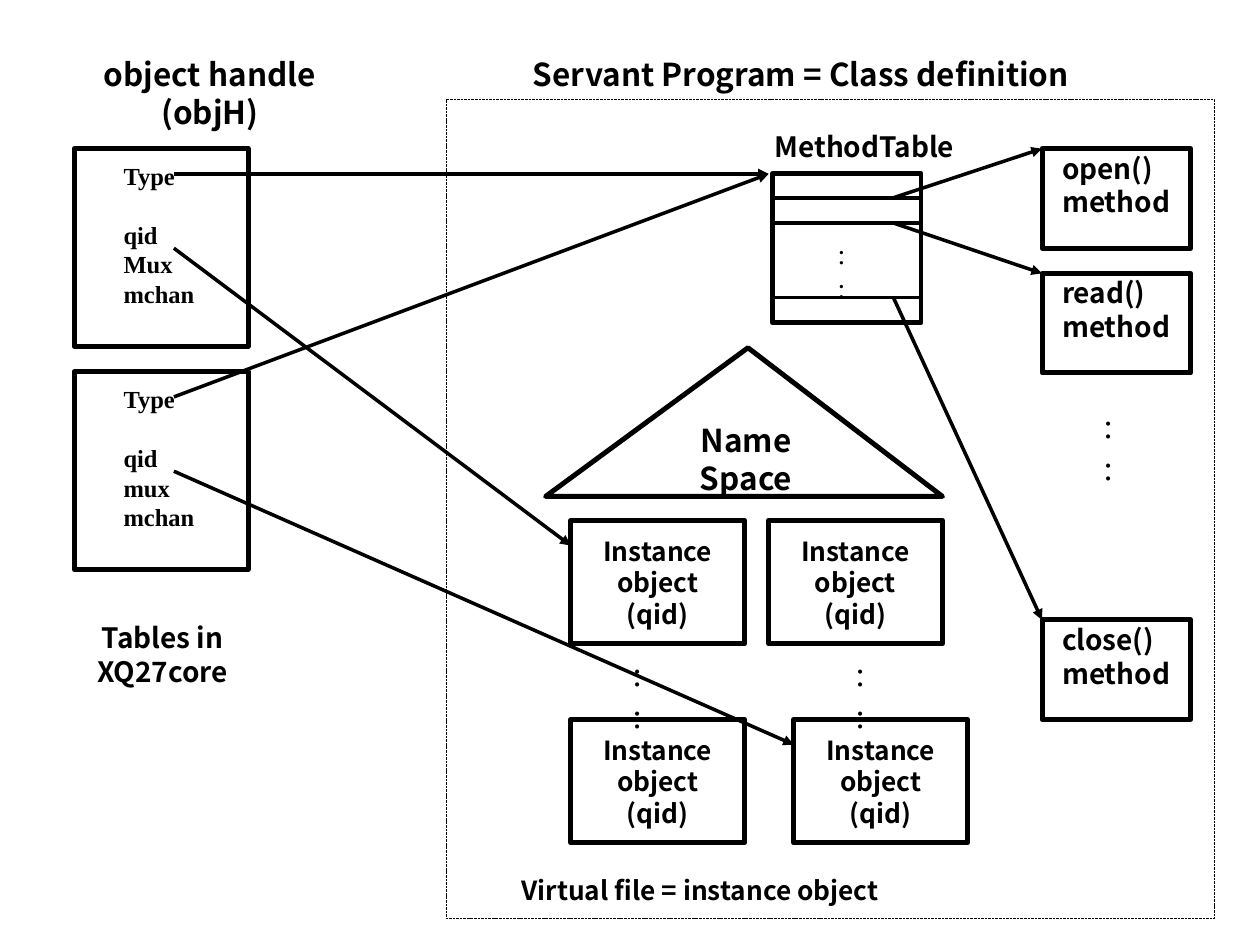
"""Build the slide that links object handles to a servant program."""
from dataclasses import dataclass

from lxml import etree
from pptx import Presentation
from pptx import util as u
from pptx.dml.color import RGBColor
from pptx.enum import dml, shapes, text
from pptx.oxml.ns import qn

COLORS = {"ink": "000000"}
SANS, SERIF = "Noto Sans CJK JP", "Times New Roman"
INK = RGBColor.from_string(COLORS["ink"])
LEFT, CENTER = text.PP_ALIGN.LEFT, text.PP_ALIGN.CENTER
TOP, MIDDLE = text.MSO_ANCHOR.TOP, text.MSO_ANCHOR.MIDDLE
RECTANGLE = shapes.MSO_SHAPE.RECTANGLE
TRIANGLE = shapes.MSO_SHAPE.ISOSCELES_TRIANGLE
HEAVY, HAIRLINE = 2.83, 0


@dataclass(frozen=True)
class Style:
    size: float
    font: str = SANS
    bold: bool = True
    align: text.PP_ALIGN = LEFT
    anchor: text.MSO_ANCHOR = TOP
    inset_x: float = 0.1
    inset_y: float = 0.05
    wrap: bool = False


@dataclass(frozen=True)
class Area:
    left: float
    top: float
    width: float
    height: float

    def lengths(self) -> tuple:
        return tuple(u.Inches(v) for v in (self.left, self.top, self.width, self.height))


@dataclass(frozen=True)
class Link:
    start: tuple[float, float]
    end: tuple[float, float]
    arrow: bool = True


HANDLE = Style(14, SERIF, inset_x=0.39, inset_y=0.1)
METHOD = Style(16, inset_x=0.16, inset_y=0.02)
INSTANCE = Style(15, align=CENTER, anchor=MIDDLE, inset_x=0.12, inset_y=0.07)
NAME_SPACE = Style(18, align=CENTER, anchor=MIDDLE, inset_x=0.12, inset_y=0.07, wrap=True)
HEADING = Style(18)
DOTS = Style(20, SERIF, bold=False)

LABELS = [
    (Area(6.05, 0.98, 1.66, 0.4), ["MethodTable"], Style(16)),
    (Area(4.04, 6.89, 3.84, 0.38), ["Virtual file = instance object"], Style(15)),
    (Area(0.61, 0.39, 2.11, 0.78), ["object handle", "(objH)"], Style(18, align=CENTER)),
    (Area(0.61, 4.88, 1.36, 0.7), ["Tables in", "XQ27core"], Style(16, align=CENTER)),
    (Area(6.55, 1.83, 0.31, 0.6), [":", ":"], Style(16, SERIF, bold=False)),
    (Area(8.66, 3.15, 0.34, 0.73), [":", ":"], DOTS),
    (Area(4.92, 5.12, 0.34, 0.73), [":", ":"], DOTS),
    (Area(6.69, 5.12, 0.34, 0.73), [":", ":"], DOTS),
]
METHODS = [("open()", 1.18), ("read()", 2.17), ("close()", 4.92)]
HANDLES = [("Mux", 1.18), ("mux", 2.95)]
INSTANCES = [(4.53, 4.13), (6.1, 4.13), (4.53, 5.71), (6.3, 5.71)]
TABLE_ROWS = [1.57, 1.77, 2.36]
HANDLE_LINKS = [
    Link((1.38, 1.38), (6.1, 1.38)),
    Link((1.38, 1.97), (4.53, 4.33)),
    Link((1.38, 3.15), (6.1, 1.38)),
    Link((1.38, 3.74), (6.3, 5.91)),
]


def write(box, lines: list[str], style: Style) -> None:
    frame = box.text_frame
    frame.auto_size = text.MSO_AUTO_SIZE.NONE
    frame.word_wrap = style.wrap
    frame.vertical_anchor = style.anchor
    frame.margin_left = frame.margin_right = u.Inches(style.inset_x)
    frame.margin_top = frame.margin_bottom = u.Inches(style.inset_y)
    frame.text = "\n".join(lines)
    for para in frame.paragraphs:
        para.alignment = style.align
        para.line_spacing = u.Pt(1.2 * style.size)
        para.font.name = style.font
        para.font.size = u.Pt(style.size)
        para.font.bold = style.bold
        para.font.color.rgb = INK


def add_label(page, area: Area, lines: list[str], style: Style) -> None:
    write(page.shapes.add_textbox(*area.lengths()), lines, style)


def add_title(page, area: Area, line: str, style: Style) -> None:
    title = page.shapes.title
    title.left, title.top, title.width, title.height = area.lengths()
    write(title, [line], style)


def add_outline(page, area: Area, kind=RECTANGLE, weight: float = HEAVY):
    box = page.shapes.add_shape(kind, *area.lengths())
    box.shadow.inherit = False
    box.fill.background()
    box.line.color.rgb = INK
    box.line.width = u.Pt(weight)
    return box


def add_link(page, link: Link) -> None:
    ends = [u.Inches(v) for v in (*link.start, *link.end)]
    line = page.shapes.add_connector(shapes.MSO_CONNECTOR.STRAIGHT, *ends)
    line.line.color.rgb = INK
    line.line.width = u.Pt(HAIRLINE)
    if link.arrow:
        etree.SubElement(line.line._get_or_add_ln(), qn("a:tailEnd"), type="triangle")
    etree.SubElement(line._element.spPr, qn("a:effectLst"))


def main() -> None:
    deck = Presentation()
    deck.slide_width, deck.slide_height = u.Inches(10), u.Inches(7.5)
    page = deck.slides.add_slide(deck.slide_layouts[5])

    add_title(page, Area(4.13, 0.39, 5.19, 0.44), "Servant Program = Class definition", HEADING)
    border = add_outline(page, Area(3.54, 0.79, 6.1, 6.5), weight=0.5)
    border.line.dash_style = dml.MSO_LINE.SQUARE_DOT
    add_outline(page, Area(6.13, 1.38, 1.18, 1.18))

    for (name, top), row in zip(METHODS, TABLE_ROWS):
        box = add_outline(page, Area(8.27, top, 1.18, 0.79))
        write(box, [name, "method"], METHOD)
        add_link(page, Link((6.13, row), (7.32, row), arrow=False))
        add_link(page, Link((7.09, row), (8.27, top)))

    for mux, top in HANDLES:
        box = add_outline(page, Area(0.59, top, 1.38, 1.57))
        write(box, ["Type", "qid", mux, "mchan"], HANDLE)
        box.text_frame.paragraphs[1].space_before = u.Pt(1.2 * HANDLE.size)

    for left, top in INSTANCES:
        box = add_outline(page, Area(left, top, 1.38, 0.98))
        write(box, ["Instance", "object", "(qid)"], INSTANCE)

    peak = add_outline(page, Area(4.33, 2.76, 3.15, 1.18), TRIANGLE)
    peak.adjustments[0] = 0.51
    write(peak, ["Name Space"], NAME_SPACE)

    for area, lines, style in LABELS:
        add_label(page, area, lines, style)
    for link in HANDLE_LINKS:
        add_link(page, link)
    deck.save("out.pptx")


if __name__ == "__main__":
    main()
